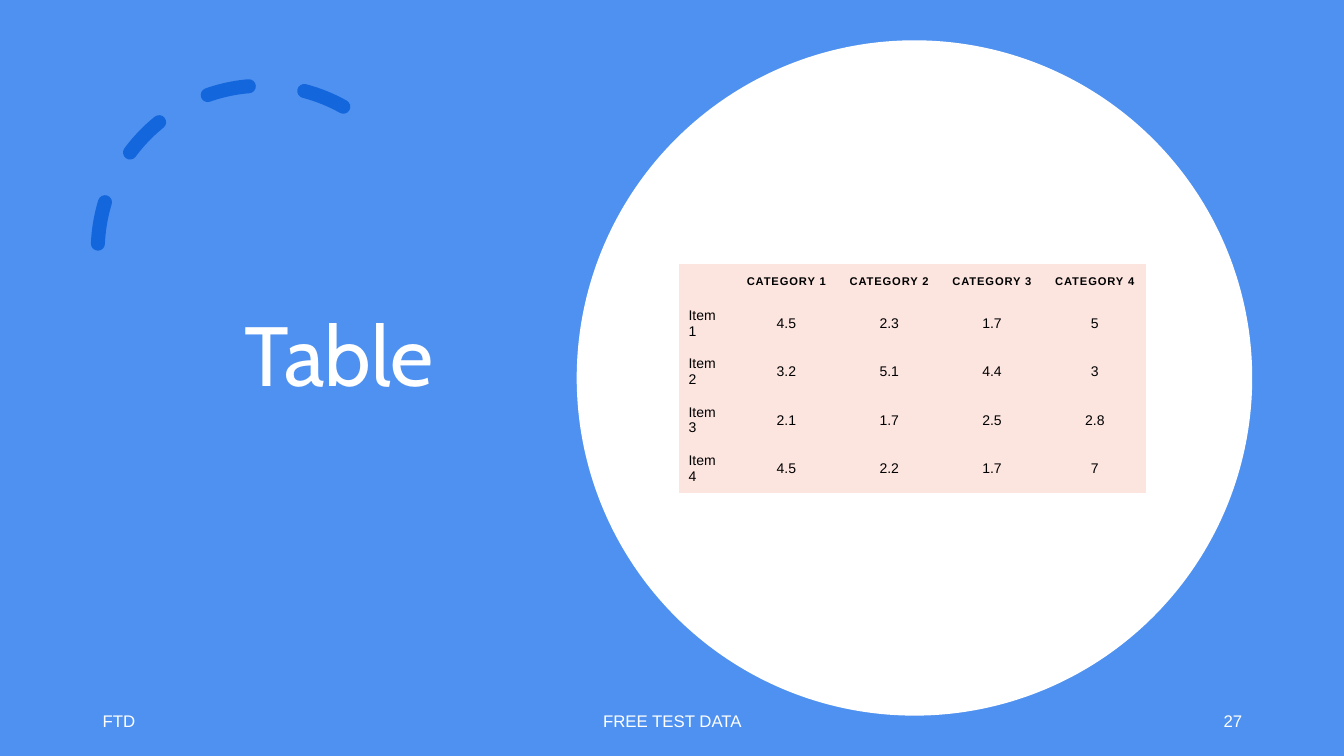
from lxml import etree
from pptx import Presentation
from pptx.dml.color import RGBColor
from pptx.enum import dml, shapes, text
from pptx.oxml.ns import qn
from pptx.util import Inches, Pt

COLORS = {"blue": "4E91F0", "dark_blue": "1366DC", "white": "FFFFFF",
          "black": "000000", "pink": "FCE4DF"}
ALIGN = text.PP_ALIGN
ANCHOR = text.MSO_ANCHOR
PRESET = shapes.MSO_SHAPE
PLAIN_TABLE_STYLE = "{2D5ABB26-0587-4C30-8999-92F81FD0307C}"
ROWS = [
    ["", "CATEGORY 1", "CATEGORY 2", "CATEGORY 3", "CATEGORY 4"],
    ["Item 1", "4.5", "2.3", "1.7", "5"],
    ["Item 2", "3.2", "5.1", "4.4", "3"],
    ["Item 3", "2.1", "1.7", "2.5", "2.8"],
    ["Item 4", "4.5", "2.2", "1.7", "7"],
]
FOOTERS = [
    ("FTD", 0.92, 3, ALIGN.LEFT),
    ("FREE TEST DATA", 4.42, 4.5, ALIGN.CENTER),
    ("27", 9.42, 3, ALIGN.RIGHT),
]


def paint(fill, color):
    fill.solid()
    fill.fore_color.rgb = RGBColor.from_string(COLORS[color])


def write(tf, content, size, color, align, font="Arial", bold=False):
    p = tf.paragraphs[0]
    p.text = content
    p.alignment = align
    for r in p.runs:
        r.font.name = font
        r.font.size = Pt(size)
        r.font.bold = bold
        r.font.color.rgb = RGBColor.from_string(COLORS[color])
    return p


def add_filled_shape(s, preset, left, top, width, height, color):
    sp = s.shapes.add_shape(preset, Inches(left), Inches(top),
                            Inches(width), Inches(height))
    sp.shadow.inherit = False
    paint(sp.fill, color)
    sp.line.fill.background()
    return sp


def add_dashed_arc(s):
    sp = s.shapes.add_shape(PRESET.ARC, Inches(0.97), Inches(0.85),
                            Inches(3.27), Inches(3.27))
    sp.shadow.inherit = False
    sp.adjustments[0] = 144.42
    sp.adjustments[1] = 0
    sp._element.spPr.find(qn("a:xfrm")).set("flipH", "1")
    sp.fill.background()
    paint(sp.line.fill, "dark_blue")
    sp.line.width = Pt(10)
    sp.line.dash_style = dml.MSO_LINE.DASH
    sp._element.spPr.find(qn("a:ln")).set("cap", "rnd")
    return sp


def add_title(s, content):
    sp = s.shapes.title
    sp.left, sp.top = Inches(0.92), Inches(0.71)
    sp.width, sp.height = Inches(4.89), Inches(3.35)
    tf = sp.text_frame
    tf.word_wrap = True
    tf.auto_size = text.MSO_AUTO_SIZE.NONE
    tf.vertical_anchor = ANCHOR.BOTTOM
    p = write(tf, content, 60, "white", ALIGN.CENTER, "Cabin")
    p.line_spacing = 0.9
    return sp


def add_footer(s, content, left, width, align):
    sp = s.shapes.add_textbox(Inches(left), Inches(6.95), Inches(width), Inches(0.4))
    tf = sp.text_frame
    tf.word_wrap = True
    tf.vertical_anchor = ANCHOR.MIDDLE
    p = write(tf, content, 12, "white", align)
    p.space_after = Pt(6)


def add_data_table(s):
    frame = s.shapes.add_table(len(ROWS), len(ROWS[0]), Inches(6.73), Inches(2.62),
                               Inches(4.65), Inches(2.27))
    next(frame._element.iter(qn("a:tableStyleId"))).text = PLAIN_TABLE_STYLE
    table = frame.table
    for i, column in enumerate(table.columns):
        column.width = Inches(1.02 if i else 0.56)
    for i, row in enumerate(table.rows):
        row.height = Inches(0.48 if i else 0.35)
    for i, values in enumerate(ROWS):
        for j, value in enumerate(values):
            cell = table.cell(i, j)
            paint(cell.fill, "pink")
            cell.vertical_anchor = ANCHOR.MIDDLE
            size = 10 if i else 8
            p = write(cell.text_frame, value, size, "black",
                      ALIGN.CENTER if j else ALIGN.LEFT, bold=i == 0)
            if not value:
                etree.SubElement(p._p, qn("a:endParaRPr"), sz=str(size * 100))
            if i == 0:
                for r in p.runs:
                    r._r.get_or_add_rPr().set("spc", "60")


def main():
    prs = Presentation()
    prs.slide_width, prs.slide_height = Inches(13.33), Inches(7.5)
    s = prs.slides.add_slide(prs.slide_layouts[5])
    title = add_title(s, "Table")
    backdrop = add_filled_shape(s, PRESET.RECTANGLE, 0, 0, 13.33, 7.5, "blue")
    arc = add_dashed_arc(s)
    for sp in (backdrop, arc):
        title._element.addprevious(sp._element)
    for footer in FOOTERS:
        add_footer(s, *footer)
    add_filled_shape(s, PRESET.OVAL, 5.72, 0.4, 6.7, 6.7, "white")
    add_data_table(s)
    prs.save("out.pptx")


if __name__ == "__main__":
    main()
